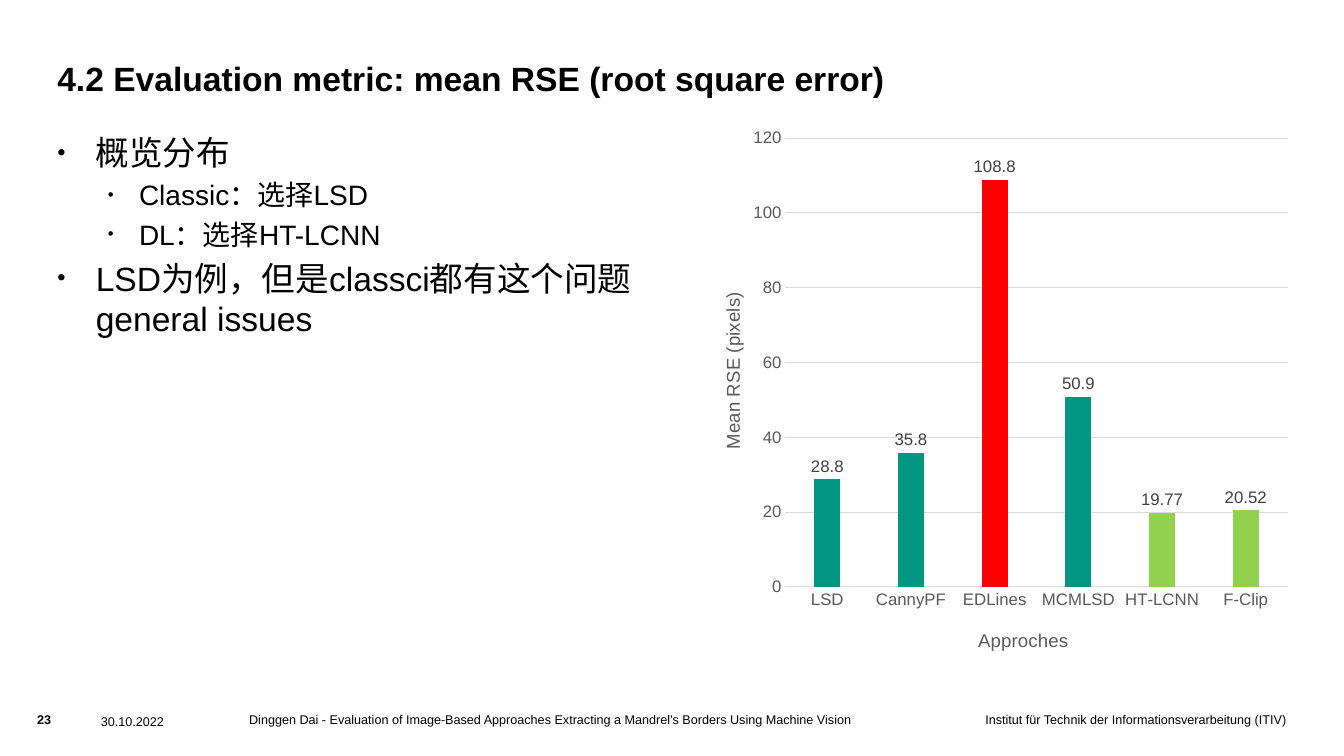
from lxml.etree import SubElement
from pptx import Presentation
from pptx.chart.data import CategoryChartData
from pptx.dml.color import RGBColor
from pptx.enum.chart import XL_CHART_TYPE as ChartType, XL_LABEL_POSITION as LabelPosition
from pptx.enum.chart import XL_TICK_MARK as TickMark
from pptx.enum.text import MSO_ANCHOR as Anchor, PP_ALIGN as Align
from pptx.oxml.ns import qn
from pptx.util import Pt

BLACK = RGBColor(0x00, 0x00, 0x00)
AXIS_GREY = RGBColor(0x59, 0x59, 0x59)
LABEL_GREY = RGBColor(0x40, 0x40, 0x40)
GRID_GREY = RGBColor(0xD9, 0xD9, 0xD9)
TEAL = RGBColor(0x00, 0x96, 0x82)
RED = RGBColor(0xFF, 0x00, 0x00)
GREEN = RGBColor(0x92, 0xD0, 0x50)


def set_font(font, size, color=BLACK, bold=False):
    formats = {"name": "Arial", "size": Pt(size), "bold": bold}
    for name, value in formats.items():
        setattr(font, name, value)
    font.color.rgb = color


def set_layout(parent, **values):
    """Place a chart part by fractions of the chart's size."""
    layout = parent.find(qn("c:layout"))
    if layout is None:
        layout = parent.makeelement(qn("c:layout"))
        text = parent.find(qn("c:tx"))
        if text is None:
            parent.insert(0, layout)
        else:
            text.addnext(layout)
    manual = SubElement(layout, qn("c:manualLayout"))
    for name, value in values.items():
        SubElement(manual, qn(f"c:{name}")).set("val", str(value))


deck = Presentation()
deck.slide_width, deck.slide_height = Pt(960), Pt(540)
page = deck.slides.add_slide(deck.slide_layouts[6])

# Title, bullets and footer: place, anchor, alignment, bold, (level, size, text)
title = [(0, 24, "4.2 Evaluation metric: mean RSE (root square error)")]
bullets = [
    (0, 24, "概览分布"),
    (1, 20, "Classic：选择LSD"),
    (1, 20, "DL：选择HT-LCNN"),
    (0, 24, "LSD为例，但是classci都有这个问题 general issues"),
]
talk = ("Dinggen Dai - Evaluation of Image-Based Approaches Extracting "
        "a Mandrel’s Borders Using Machine Vision")
institute = "Institut für Technik der Informationsverarbeitung (ITIV)"
text_boxes = [
    ((41, 26, 726, 44), Anchor.BOTTOM, Align.LEFT, True, title),
    ((41, 94.3, 430.6, 385), Anchor.TOP, Align.LEFT, False, bullets),
    ((26.6, 508.3, 34, 17), Anchor.TOP, Align.LEFT, True, [(0, 9, "23")]),
    ((72, 509.8, 91, 9), Anchor.TOP, Align.LEFT, False, [(0, 9, "30.10.2022")]),
    ((178, 508.3, 452, 28), Anchor.TOP, Align.LEFT, False, [(0, 9, talk)]),
    ((617, 508.3, 301.7, 28), Anchor.TOP, Align.RIGHT, False, [(0, 9, institute)]),
]
bullet_styles = [(27.4, 27.4, 70), (58.3, 22.3, 60)]  # margin, hanging, size in %

for place, anchor, alignment, bold, lines in text_boxes:
    box = page.shapes.add_textbox(*map(Pt, place))
    frame = box.text_frame
    formats = {"word_wrap": True, "vertical_anchor": anchor, "margin_left": 0,
               "margin_right": 0, "margin_top": 0, "margin_bottom": 0}
    for name, value in formats.items():
        setattr(frame, name, value)
    for index, (level, size, text) in enumerate(lines):
        para = frame.add_paragraph() if index else frame.paragraphs[0]
        para.alignment = alignment
        para.level = level
        if index:
            para.space_before = Pt(size * 0.2)
        if lines is bullets:
            margin, hanging, percent = bullet_styles[level]
            props = para._p.get_or_add_pPr()
            props.set("marL", str(Pt(margin)))
            props.set("indent", str(-Pt(hanging)))
            SubElement(props, qn("a:buSzPct")).set("val", str(percent * 1000))
            SubElement(props, qn("a:buFont")).set("typeface", "Arial")
            SubElement(props, qn("a:buChar")).set("char", "•")
        span = para.add_run()
        span.text = text
        set_font(span.font, size, bold=bold)

# Column chart of the mean error per approach
data = CategoryChartData()
data.categories = ["LSD", "CannyPF", "EDLines", "MCMLSD", "HT-LCNN", "F-Clip"]
data.add_series("Series 1", [28.8, 35.8, 108.8, 50.9, 19.77, 20.52])
chart = page.shapes.add_chart(
    ChartType.COLUMN_CLUSTERED, Pt(498.2), Pt(84.2), Pt(430.6), Pt(385.2), data).chart
chart.has_legend = False
chart.has_title = False
set_font(chart.font, 10)
set_layout(chart._chartSpace.chart.plotArea, layoutTarget="inner", xMode="edge",
           yMode="edge", x=0.146, y=0.038, w=0.833, h=0.836)

# Columns and their values
plot = chart.plots[0]
plot.vary_by_categories = False
plot.gap_width, plot.overlap = 219, -27
series = plot.series[0]
series.format.fill.solid()
series.format.fill.fore_color.rgb = TEAL
for index, color in {2: RED, 4: GREEN, 5: GREEN}.items():
    fill = series.points[index].format.fill
    fill.solid()
    fill.fore_color.rgb = color
labels = series.data_labels
labels.show_value = True
labels.position = LabelPosition.OUTSIDE_END
set_font(labels.font, 12, LABEL_GREY)

# Axes
axes = [(chart.category_axis, "Approches", 0.46, 0.945),
        (chart.value_axis, "Mean RSE (pixels)", 0.033, 0.32)]
for axis, text, left, top in axes:
    axis.major_tick_mark = axis.minor_tick_mark = TickMark.NONE
    set_font(axis.tick_labels.font, 12, AXIS_GREY)
    heading = axis.axis_title
    span = heading.text_frame.paragraphs[0].add_run()
    span.text = text
    set_font(span.font, 13.3, AXIS_GREY)
    set_layout(heading._element, xMode="edge", yMode="edge", x=left, y=top)
value_axis = chart.value_axis
value_axis.minimum_scale, value_axis.maximum_scale, value_axis.major_unit = 0, 120, 20
value_axis.has_major_gridlines = True
value_axis.format.line.fill.background()
for line in (value_axis.major_gridlines.format.line, chart.category_axis.format.line):
    line.color.rgb = GRID_GREY
    line.width = Pt(0.75)

deck.save("out.pptx")
